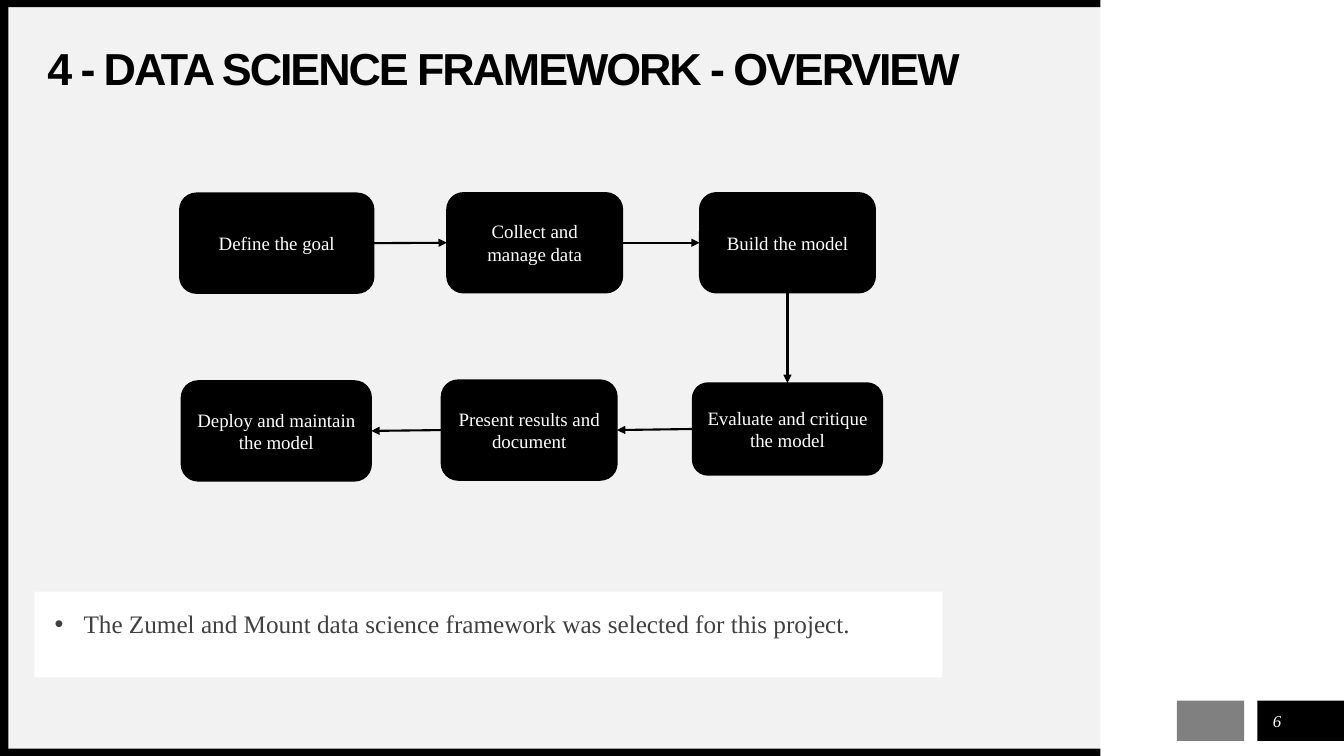
from itertools import pairwise

from lxml.etree import SubElement
from pptx import Presentation
from pptx.dml.color import RGBColor
from pptx.enum.shapes import MSO_CONNECTOR as Link, MSO_SHAPE as Preset
from pptx.enum.text import MSO_ANCHOR as Anchor, PP_ALIGN as Align
from pptx.oxml.ns import qn
from pptx.util import Inches, Pt

BLACK = RGBColor(0x00, 0x00, 0x00)
WHITE = RGBColor(0xFF, 0xFF, 0xFF)
PALE = RGBColor(0xF2, 0xF2, 0xF2)
GREY = RGBColor(0x80, 0x80, 0x80)
DARK = RGBColor(0x40, 0x40, 0x40)
COLUMNS, ROWS = 160, 90
TOP, LEFT, BOTTOM, RIGHT = range(4)


def write(frame, text, size=13.5, font="Times New Roman", color=WHITE, bold=False,
          italic=False, tracking=0, align=Align.LEFT, leading=None, before=None):
    """Write formatted text into the frame's first paragraph."""
    paragraph = frame.paragraphs[0]
    paragraph.alignment = align
    paragraph.line_spacing, paragraph.space_before = leading, before
    run = paragraph.add_run()
    run.text = text
    run.font.size, run.font.name = Pt(size), font
    run.font.bold, run.font.italic = bold, italic
    run.font.color.rgb = color
    if tracking:
        run.font._element.set("spc", str(round(tracking * 100)))
    return paragraph


class Deck:
    """Hold the grid, the line style and the current slide."""

    def __init__(self, width, height, line_color=BLACK):
        """Start a presentation with one blank slide."""
        self.show = Presentation()
        self.show.slide_width, self.show.slide_height = width, height
        self.column, self.row = width / COLUMNS, height / ROWS
        self.line_color = line_color
        self.slide = self.show.slides.add_slide(self.show.slide_layouts[6])

    def place(self, left, top, width, height):
        """Turn grid columns and rows into slide lengths."""
        return [round(left * self.column), round(top * self.row),
                round(width * self.column), round(height * self.row)]

    def frame(self, shape, anchor, insets):
        """Prepare the text frame of a shape."""
        frame = shape.text_frame
        frame.word_wrap, frame.vertical_anchor = True, anchor
        (frame.margin_left, frame.margin_top,
         frame.margin_right, frame.margin_bottom) = self.place(*insets)
        return frame

    def block(self, area, fill, preset=Preset.RECTANGLE, outlined=False):
        """Add a filled shape."""
        shape = self.slide.shapes.add_shape(preset, *self.place(*area))
        shape.shadow.inherit = False
        shape.fill.solid()
        shape.fill.fore_color.rgb = fill
        if outlined:
            shape.line.color.rgb, shape.line.width = self.line_color, Pt(1)
        else:
            shape.line.fill.background()
        return shape

    def label(self, area):
        """Add a text box and return its frame."""
        box = self.slide.shapes.add_textbox(*self.place(*area))
        return self.frame(box, Anchor.MIDDLE, (0, 0, 0, 0))

    def step(self, text, area):
        """Add a rounded box with centred text."""
        shape = self.block(area, BLACK, Preset.ROUNDED_RECTANGLE, outlined=True)
        write(self.frame(shape, Anchor.MIDDLE, (1.2, 0.6, 1.2, 0.6)), text, align=Align.CENTER)
        return shape

    def bullet(self, paragraph, indent):
        """Give a paragraph a hanging bullet."""
        properties = paragraph._p.get_or_add_pPr()
        hang = round(indent * self.column)
        properties.set("marL", str(hang))
        properties.set("indent", str(-hang))
        SubElement(properties, qn("a:buFont")).set("typeface", "Arial")
        SubElement(properties, qn("a:buChar")).set("char", "•")

    def arrow(self, source, leave, target, enter):
        """Join two shapes with an arrow."""
        link = self.slide.shapes.add_connector(Link.STRAIGHT, 0, 0, 0, 0)
        link.begin_connect(source, leave)
        link.end_connect(target, enter)
        link.line.color.rgb, link.line.width = self.line_color, Pt(1.5)
        SubElement(link.line._get_or_add_ln(), qn("a:tailEnd")).set("type", "triangle")
        SubElement(link._element.spPr, qn("a:effectLst"))


deck = Deck(Inches(13.33), Inches(7.5))

deck.block((1, 0.86, 130, 88.28), PALE)
deck.block((149.7, 83.4, 10.3, 4.8), BLACK)
deck.block((140.1, 83.4, 8, 4.8), GREY)
for edge in [(0, 89.14, 131, 0.86), (0, 0, 131, 0.86), (0, 0, 1, 90)]:
    deck.block(edge, BLACK)

title = deck.label((5.64, 5.64, 119.9, 5.64))
write(title, "4 - DATA SCIENCE FRAMEWORK - OVERVIEW", size=32, font="Arial",
      color=BLACK, bold=True, tracking=-1.5, leading=0.9)

note = deck.frame(deck.block((4.1, 70.44, 108.1, 10.2), WHITE), Anchor.TOP, (2.4, 2.4, 2.4, 0))
finding = write(note, "The Zumel and Mount data science framework was selected for this project.",
                size=18, color=DARK, leading=0.9, before=Pt(10))
deck.bullet(finding, 3.45)

page_number = deck.label((150.24, 84, 3.6, 3.6))
write(page_number, "6", size=12, italic=True, align=Align.CENTER)

STEPS = [
    ("Define the goal", (21.4, 23, 23.1, 11.9)),
    ("Collect and manage data", (53.2, 22.95, 20.9, 11.9)),
    ("Build the model", (83.3, 22.95, 20.9, 11.9)),
    ("Evaluate and critique the model", (82.45, 45.6, 22.6, 10.95)),
    ("Present results and document", (52.55, 45.25, 20.9, 11.9)),
    ("Deploy and maintain the model", (21.6, 45.35, 22.6, 11.9)),
]
stages = [deck.step(text, area) for text, area in STEPS]
ROUTE = [(RIGHT, LEFT)] * 2 + [(BOTTOM, TOP)] + [(LEFT, RIGHT)] * 2
for (source, target), (leave, enter) in zip(pairwise(stages), ROUTE):
    deck.arrow(source, leave, target, enter)

deck.show.save("out.pptx")
